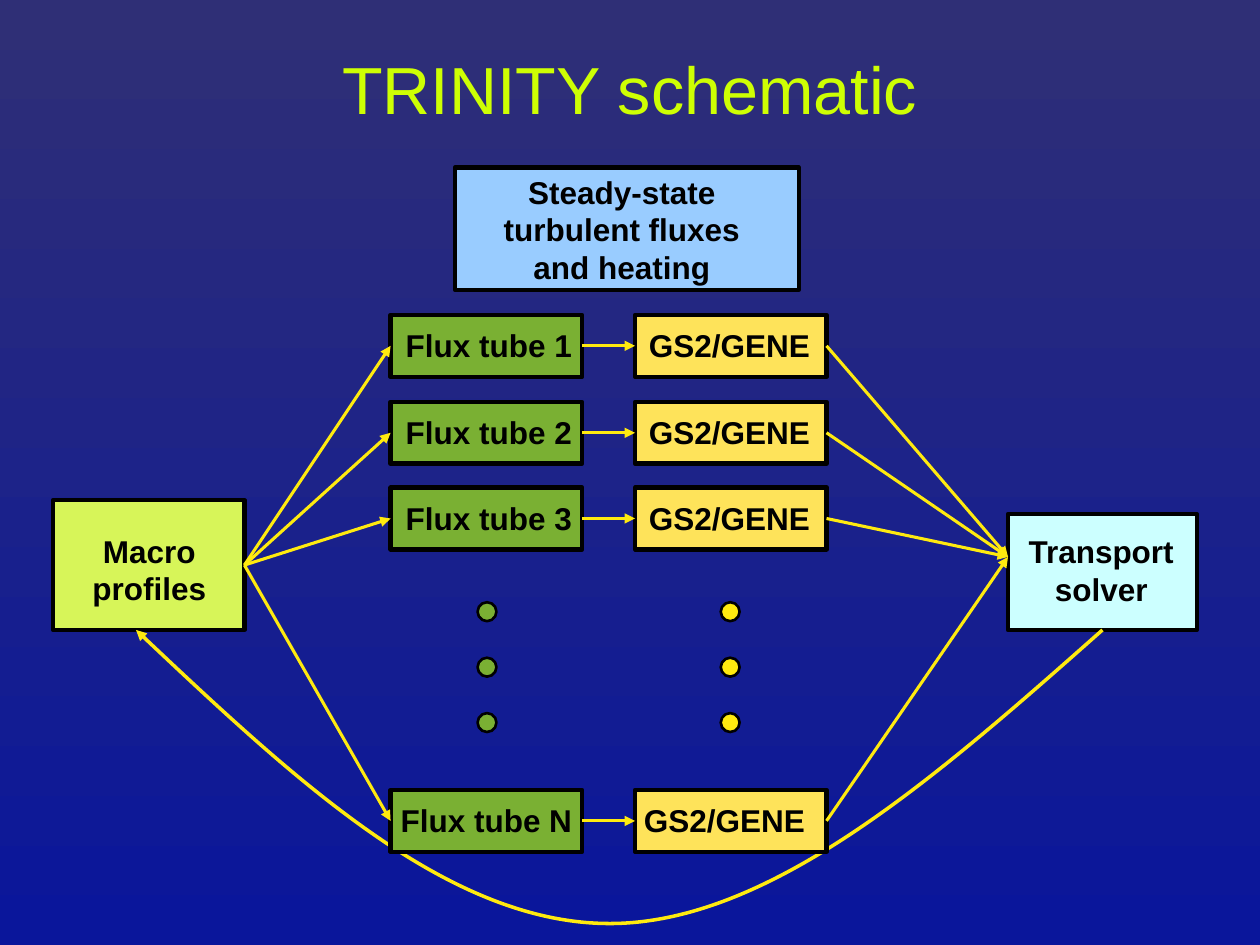
import pptx
import pptx.util
import pptx.dml.color
import pptx.enum.shapes
import pptx.enum.text
import pptx.oxml
import pptx.oxml.ns
from lxml import etree

Inches = pptx.util.Inches
Pt = pptx.util.Pt
RGBColor = pptx.dml.color.RGBColor
Shape = pptx.enum.shapes.MSO_SHAPE
Align = pptx.enum.text.PP_ALIGN
Anchor = pptx.enum.text.MSO_ANCHOR
qn = pptx.oxml.ns.qn

TOP = RGBColor(0x2F, 0x2F, 0x76)
BASE = RGBColor(0x0A, 0x16, 0x9B)
TITLE = RGBColor(0xCE, 0xFF, 0x03)
LIME = RGBColor(0xD7, 0xF5, 0x59)
BLUE = RGBColor(0x99, 0xCC, 0xFF)
CYAN = RGBColor(0xCC, 0xFF, 0xFF)
GREEN = RGBColor(0x7A, 0xB0, 0x33)
GOLD = RGBColor(0xFE, 0xE3, 0x5A)
YELLOW = RGBColor(0xFF, 0xEA, 0x0F)
BLACK = RGBColor(0, 0, 0)

TOP, LEFT, RIGHT = TOP, 1, 3
ROWS = [("1", 2.5), ("2", 3.19), ("3", 3.87), ("N", 6.27)]
TUBE_X, CODE_X = 3.1, 5.04
BOX_W, BOX_H = 1.52, 0.49
DOT = 0.15
SOLVER_IN = (8, 4.42)


def paint(slide):
    """Fill the background with a vertical gradient."""
    fill = slide.background.fill
    fill.gradient()
    fill.gradient_angle = 270
    for stop, color, place in zip(fill.gradient_stops, (TOP, BASE), (0, 1)):
        stop.color.rgb = color
        stop.position = place


def add_shape(slide, kind, x, y, w, h, color, line=2.5):
    shape = slide.shapes.add_shape(kind, Inches(x), Inches(y), Inches(w), Inches(h))
    shape.shadow.inherit = False
    shape.fill.solid()
    shape.fill.fore_color.rgb = color
    shape.line.color.rgb = BLACK
    shape.line.width = Pt(line)
    return shape


def add_text(slide, text, x, y, w, h, size=18, color=BLACK, bold=True,
             align=Align.CENTER, anchor=Anchor.TOP):
    box = slide.shapes.add_textbox(Inches(x), Inches(y), Inches(w), Inches(h))
    frame = box.text_frame
    frame.word_wrap = True
    frame.vertical_anchor = anchor
    frame.margin_left = frame.margin_right = Inches(0.09)
    frame.margin_top = frame.margin_bottom = Inches(0.04)
    para = frame.paragraphs[0]
    para.alignment = align
    run = para.add_run()
    run.text = text
    run.font.name = "Arial"
    run.font.size = Pt(size)
    run.font.bold = bold
    run.font.color.rgb = color
    return run


def cast(run):
    """Give the text of a run a soft dark shadow."""
    effect = pptx.oxml.parse_xml(
        '<a:effectLst xmlns:a="http://schemas.openxmlformats.org/drawingml/2006/main">'
        '<a:outerShdw blurRad="38100" dist="38100" dir="2700000">'
        '<a:srgbClr val="000000"/></a:outerShdw></a:effectLst>')
    run.font.fill.fore_color.rgb = TITLE
    run.font._element.find(qn("a:solidFill")).addnext(effect)


def style(line, width, end):
    """Make a line yellow with an arrowhead at headEnd or tailEnd."""
    line.color.rgb = YELLOW
    line.width = Pt(width)
    etree.SubElement(line._get_or_add_ln(), qn("a:" + end), type="triangle")


def add_arrow(slide, start, goal):
    """Draw an arrow between two boxes, or from a box to a point."""
    link = slide.shapes.add_connector(pptx.enum.shapes.MSO_CONNECTOR.STRAIGHT, 0, 0, 0, 0)
    link.begin_connect(start, RIGHT)
    if isinstance(goal, tuple):
        link.end_x, link.end_y = map(Inches, goal)
    else:
        link.end_connect(goal, LEFT)
    style(link.line, 1.75, "tailEnd")
    etree.SubElement(link._element.spPr, qn("a:effectLst"))


def add_curve(slide, points):
    """Draw Bezier arcs through points; the arrowhead is at the first one."""
    spots = [(Inches(x), Inches(y)) for x, y in points]
    form = slide.shapes.build_freeform(*spots[0])
    form.add_line_segments(spots[1:], close=False)
    curve = form.convert_to_shape()
    curve.shadow.inherit = False
    curve.fill.background()
    style(curve.line, 2, "headEnd")
    steps = list(curve._element.iter(qn("a:lnTo")))
    for i in range(0, len(steps), 3):
        arc = etree.Element(qn("a:cubicBezTo"))
        steps[i].addprevious(arc)
        for step in steps[i:i + 3]:
            arc.append(step[0])
            step.getparent().remove(step)


def add_row(slide, name, y, macro):
    """Draw one flux tube, its code and the arrows that join them."""
    shift = -0.04 if name == "N" else 0
    tube = add_shape(slide, Shape.RECTANGLE, TUBE_X, y, BOX_W, BOX_H, GREEN)
    code = add_shape(slide, Shape.RECTANGLE, CODE_X, y, BOX_W, BOX_H, GOLD)
    for text, x in (("Flux tube " + name, 3.13), ("GS2/GENE", 5.06)):
        add_text(slide, text, x + shift, y + 0.05, 1.59, 0.39, align=Align.LEFT)
    add_arrow(slide, macro, tube)
    add_arrow(slide, tube, code)
    add_arrow(slide, code, SOLVER_IN)


def add_dots(slide, x, color):
    for i in range(3):
        add_shape(slide, Shape.OVAL, x, 4.78 + 0.44 * i, DOT, DOT, color, line=1.5)


def main():
    deck = pptx.Presentation()
    deck.slide_width, deck.slide_height = Inches(10), Inches(7.5)
    slide = deck.slides.add_slide(deck.slide_layouts[6])
    paint(slide)
    cast(add_text(slide, "TRINITY schematic", 0.75, 0.37, 8.5, 0.66, size=38,
                  color=TITLE, bold=False, anchor=Anchor.MIDDLE))

    macro = add_shape(slide, Shape.RECTANGLE, 0.42, 3.97, 1.52, 1.03, LIME)
    add_text(slide, "Macro profiles", 0.59, 4.18, 1.19, 0.7)
    add_shape(slide, Shape.RECTANGLE, 3.61, 1.33, 2.73, 0.97, BLUE)
    add_text(slide, "Steady-state turbulent fluxes and heating", 3.76, 1.33, 2.35, 0.99)
    add_shape(slide, Shape.RECTANGLE, 8, 4.08, 1.5, 0.92, CYAN)
    add_text(slide, "Transport solver", 8.02, 4.18, 1.44, 0.69)

    add_curve(slide, [(1.08, 5), (2.32, 6.17), (3.56, 7.33), (4.84, 7.33),
                      (6.11, 7.33), (7.43, 6.17), (8.75, 5)])
    for name, y in ROWS:
        add_row(slide, name, y, macro)
    add_dots(slide, 3.79, GREEN)
    add_dots(slide, 5.72, YELLOW)
    deck.save("out.pptx")


if __name__ == "__main__":
    main()
